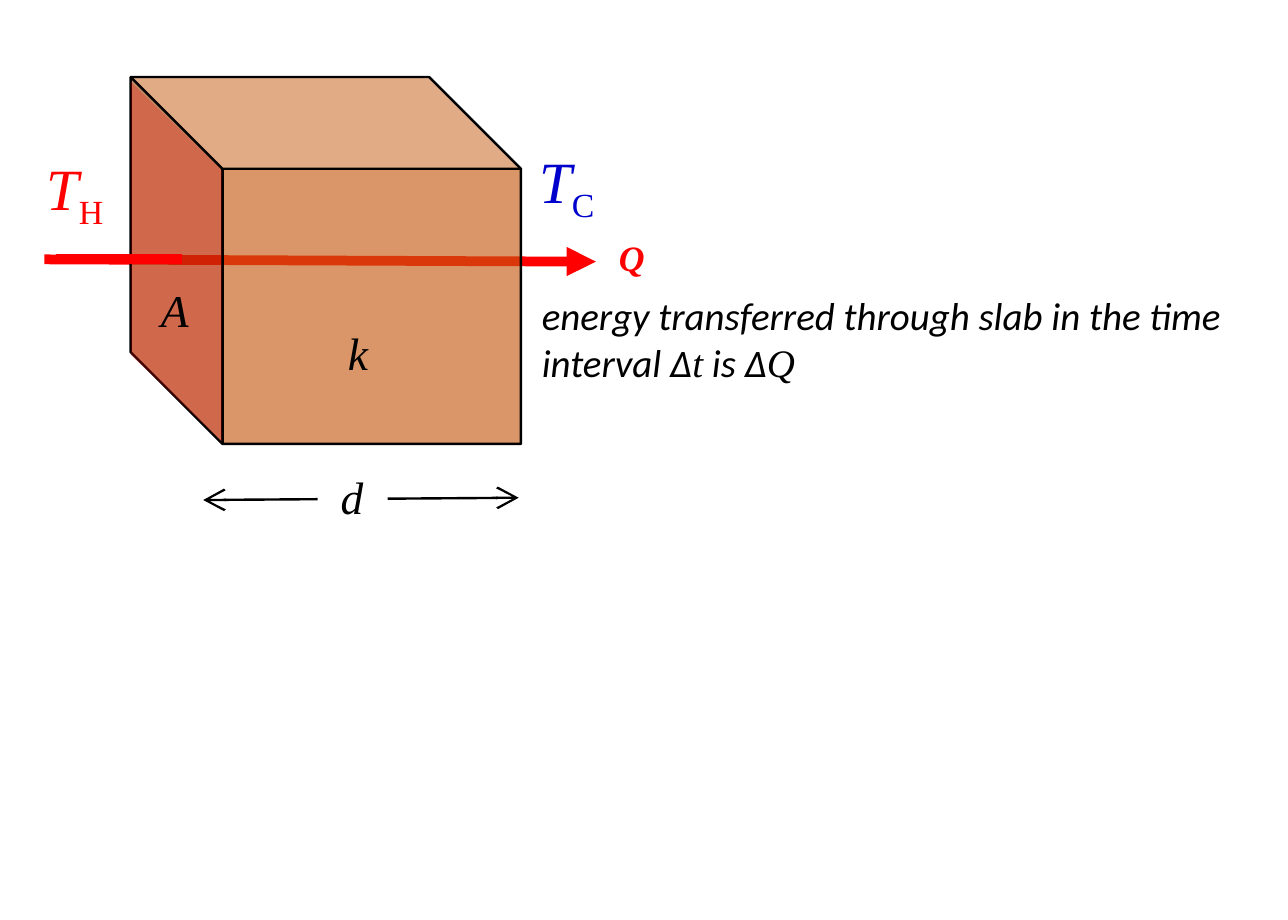
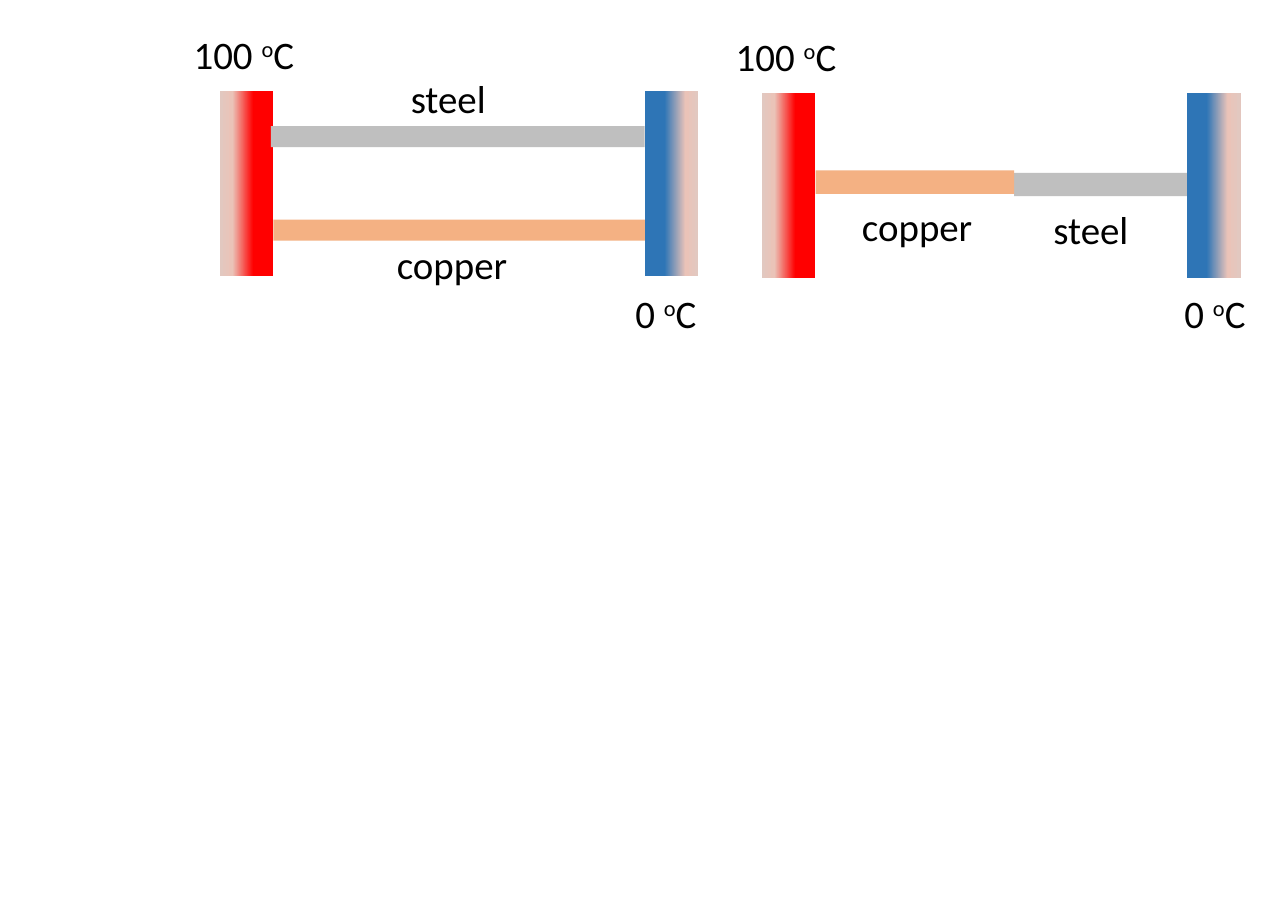
"""Build two slides on heat conduction: a slab, and rods between hot and cold walls."""
from dataclasses import dataclass

from lxml.etree import SubElement
from pptx import Presentation
from pptx.dml.color import RGBColor
from pptx.enum.shapes import MSO_CONNECTOR, MSO_SHAPE
from pptx.oxml.ns import qn
from pptx.util import Inches, Pt


@dataclass(frozen=True)
class Theme:
    black: str = "000000"
    white: str = "FFFFFF"
    hot: str = "FF0000"
    cold: str = "2E75B6"
    cold_label: str = "0000CC"
    slab: str = "C55A11"
    steel: str = "BFBFBF"
    copper: str = "F4B183"
    wall_inner: str = "EAC3B8"
    wall_outer: str = "E2C8C0"
    sans: str = "Calibri"
    serif: str = "Times New Roman"
    body: int = 12
    heat: int = 11
    symbol: int = 14
    temperature: int = 18
    thin: float = 0.75
    thick: float = 3


theme = Theme()


def add_text(slide, box, runs, size, color=theme.black, wrap=False):
    """Add a text box; each run is (text, font name, italic, bold, baseline in percent)."""
    shape = slide.shapes.add_textbox(*map(Inches, box))
    shape.text_frame.word_wrap = wrap
    paragraph = shape.text_frame.paragraphs[0]
    for text, name, italic, bold, baseline in runs:
        run = paragraph.add_run()
        run.text = text
        run.font.name = name
        run.font.size = Pt(size)
        run.font.italic = italic
        run.font.bold = bold
        run.font.color.rgb = RGBColor.from_string(color)
        if baseline:
            run._r.get_or_add_rPr().set("baseline", str(baseline * 1000))
    return shape


def add_line(slide, ends, color, width, **arrowheads):
    """Add a straight line; arrowheads maps headEnd or tailEnd to an arrow type."""
    line = slide.shapes.add_connector(MSO_CONNECTOR.STRAIGHT, *map(Inches, ends))
    line.line.color.rgb = RGBColor.from_string(color)
    line.line.width = Pt(width)
    outline = line.line._get_or_add_ln()
    for end, kind in arrowheads.items():
        SubElement(outline, qn(f"a:{end}"), type=kind)
    SubElement(line._element.spPr, qn("a:effectLst"))


presentation = Presentation()
presentation.slide_width = Inches(14 / 2.54)
presentation.slide_height = Inches(10 / 2.54)
blank = presentation.slide_layouts[6]

slide = presentation.slides.add_slide(blank)
add_line(slide, (0.19, 1.11, 2.55, 1.12), theme.hot, theme.thick, tailEnd="triangle")
add_text(slide, (2.22, 1.2, 3.15, 0.5), [
    ("energy transferred through slab in the time interval Δ", theme.sans, True, False, 0),
    ("t", theme.serif, True, False, 0),
    (" is Δ", theme.sans, True, False, 0),
    ("Q", theme.serif, True, False, 0),
], theme.body, wrap=True)
for left, top, subscript, color in [
    (0.1, 0.6, "H", theme.hot),
    (2.21, 0.57, "C", theme.cold_label),
]:
    add_text(slide, (left, top, 0.57, 0.3), [
        ("T", theme.serif, True, False, 0),
        (subscript, theme.serif, False, False, -25),
    ], theme.temperature, color, wrap=True)
add_line(slide, (0.87, 2.14, 2.22, 2.13), theme.black, theme.thin,
         headEnd="arrow", tailEnd="arrow")
add_text(slide, (2.55, 0.96, 0.31, 0.29), [("Q", theme.serif, True, True, 0)],
         theme.heat, theme.hot)

cube = slide.shapes.add_shape(
    MSO_SHAPE.CUBE, Inches(0.56), Inches(0.33), Inches(1.67), Inches(1.57))
cube._element.spPr.find(qn("a:xfrm")).set("flipH", "1")
cube.line.color.rgb = RGBColor.from_string(theme.black)
cube.line.width = Pt(theme.thin)
add_line(slide, (0.24, 1.11, 0.78, 1.11), theme.hot, theme.thick)
thickness = add_text(slide, (1.36, 1.96, 0.3, 0.34),
                     [("d", theme.serif, True, False, 0)], theme.symbol)
thickness.fill.solid()
thickness.fill.fore_color.rgb = RGBColor.from_string(theme.white)
add_text(slide, (1.39, 1.34, 0.3, 0.34), [("k", theme.serif, True, False, 0)], theme.symbol)

corners = [(Inches(x), Inches(y)) for x, y in [(0.56, 0.35), (0.56, 1.52), (0.95, 1.89), (0.95, 0.73)]]
builder = slide.shapes.build_freeform(*corners[0])
builder.add_line_segments(corners[1:], close=True)
hot_face = builder.convert_to_shape()
hot_face.line.fill.background()
for shape, color, opacity in [(cube, theme.slab, 63), (hot_face, theme.hot, 25)]:
    shape.shadow.inherit = False
    shape.fill.solid()
    shape.fill.fore_color.rgb = RGBColor.from_string(color)
    color_element = shape._element.spPr.find(qn("a:solidFill"))[0]
    SubElement(color_element, qn("a:alpha"), val=str(opacity * 1000))
add_text(slide, (0.59, 1.16, 0.32, 0.34), [("A", theme.serif, True, False, 0)], theme.symbol)

slide = presentation.slides.add_slide(blank)
hot_stops = [(0, theme.wall_outer), (24, theme.wall_inner), (63, theme.hot)]
cold_stops = [(37, theme.cold), (76, theme.wall_inner), (100, theme.wall_outer)]
for left, top in [(0.94, 0.39), (3.26, 0.4)]:
    for offset, stops in [(0, hot_stops), (1.82, cold_stops)]:
        wall = slide.shapes.add_shape(
            MSO_SHAPE.RECTANGLE, Inches(left + offset), Inches(top), Inches(0.23), Inches(0.79))
        wall.shadow.inherit = False
        wall.line.fill.background()
        wall.fill.gradient()
        wall.fill.gradient_angle = 0
        stop_list = wall._element.spPr.find(qn("a:gradFill")).find(qn("a:gsLst"))
        for old_stop in list(stop_list):
            stop_list.remove(old_stop)
        for position, color in stops:
            stop = SubElement(stop_list, qn("a:gs"), pos=str(position * 1000))
            SubElement(stop, qn("a:srgbClr"), val=color)

for left, top, width, height, color in [
    (1.16, 0.54, 1.6, 0.09, theme.steel),
    (1.17, 0.94, 1.59, 0.09, theme.copper),
    (4.34, 0.74, 0.74, 0.1, theme.steel),
    (3.49, 0.73, 0.85, 0.1, theme.copper),
]:
    rod = slide.shapes.add_shape(MSO_SHAPE.RECTANGLE, *map(Inches, (left, top, width, height)))
    rod.shadow.inherit = False
    rod.line.fill.background()
    rod.fill.solid()
    rod.fill.fore_color.rgb = RGBColor.from_string(color)

for left, top, width, degrees in [
    (0.73, 0.08, 0.65, "100 "),
    (2.62, 1.19, 0.48, "0 "),
    (3.05, 0.09, 0.65, "100 "),
    (4.97, 1.19, 0.48, "0 "),
]:
    add_text(slide, (left, top, width, 0.3), [
        (degrees, theme.sans, False, False, 0),
        ("o", theme.sans, False, False, 30),
        ("C", theme.sans, False, False, 0),
    ], theme.body)
for left, top, width, metal in [
    (1.6, 0.98, 0.68, "copper"),
    (1.66, 0.27, 0.53, "steel"),
    (3.59, 0.82, 0.68, "copper"),
    (4.41, 0.83, 0.53, "steel"),
]:
    add_text(slide, (left, top, width, 0.3), [(metal, theme.sans, False, False, 0)], theme.body)

presentation.save("out.pptx")
